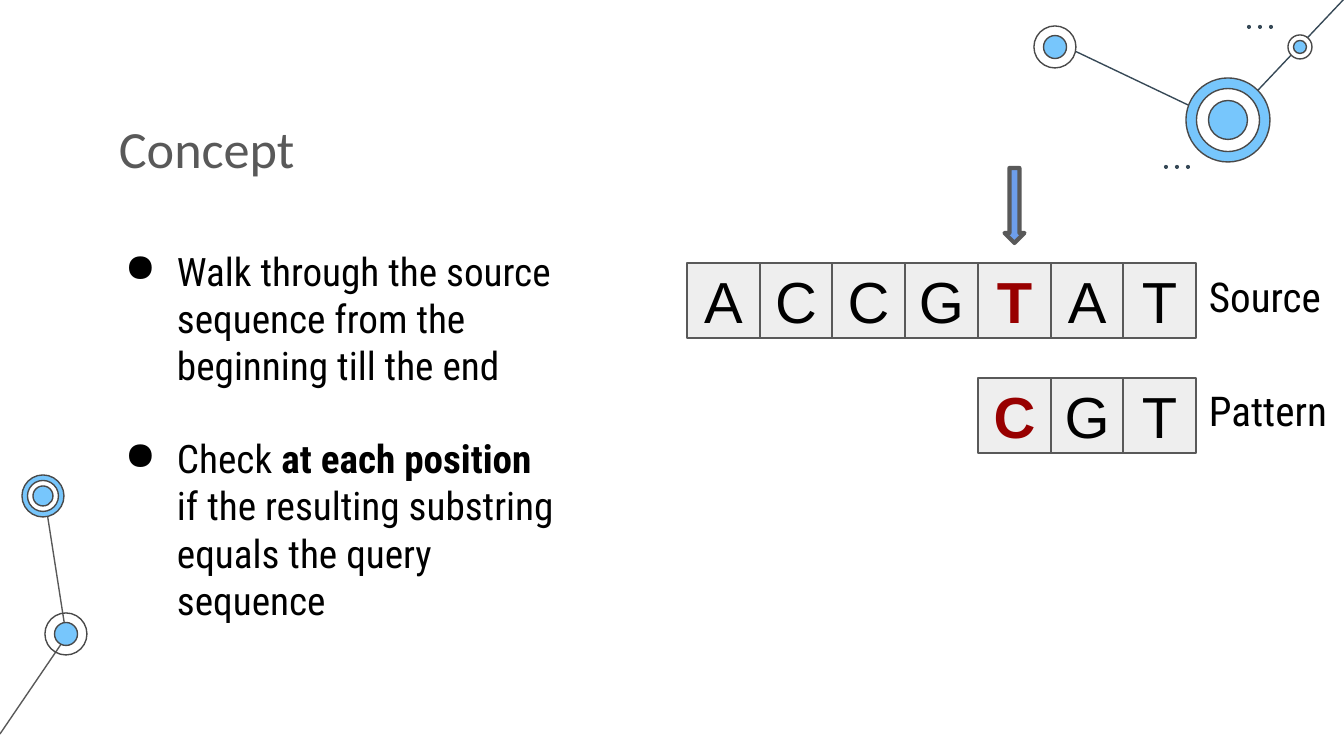
from dataclasses import dataclass

from lxml import etree
from pptx import Presentation
from pptx.dml.color import RGBColor
from pptx.enum.shapes import MSO_CONNECTOR, MSO_SHAPE
from pptx.enum.text import MSO_ANCHOR, PP_ALIGN
from pptx.oxml.ns import qn
from pptx.util import Pt

LINE = MSO_CONNECTOR.STRAIGHT
OVAL, RECT, ARROW = MSO_SHAPE.OVAL, MSO_SHAPE.RECTANGLE, MSO_SHAPE.DOWN_ARROW
TOP, MIDDLE = MSO_ANCHOR.TOP, MSO_ANCHOR.MIDDLE
LEFT, CENTER = PP_ALIGN.LEFT, PP_ALIGN.CENTER


@dataclass(frozen=True)
class Theme:
    ink: str = "000000"
    grey: str = "595959"
    ring: str = "494949"
    slate: str = "374957"
    sky: str = "77C6FC"
    white: str = "FFFFFF"
    cell: str = "EEEEEE"
    arrow: str = "6D9EEB"
    mark: str = "980000"
    title_font: str = "Calibri"
    body_font: str = "Roboto Condensed"
    cell_font: str = "Arial"
    title_size: float = 28
    body_size: float = 21
    label_size: float = 22
    cell_size: float = 31
    thin: float = 0.75
    thick: float = 2.25


T = Theme()

TITLE = "Concept"
BULLETS = [
    [("Walk through the source sequence from the beginning till the end", False)],
    [
        ("Check ", False),
        ("at each position", True),
        (" if the resulting substring equals the query sequence", False),
    ],
]
SEQUENCES = [
    {"label": "Source", "letters": "ACCGTAT", "top": 263, "label_width": 140},
    {"label": "Pattern", "letters": "CGT", "top": 378, "label_width": 187},
]
COMPARED = 4
LINKS = [
    ((66, 634), (44, 493), T.grey),
    ((0, 734), (66, 637), T.grey),
    ((1228, 124), (1058, 43), T.slate),
    ((1344, -1), (1228, 122), T.slate),
]
NODES = [
    ((66, 634), [(42, None), (23, T.sky)]),
    ((43, 496), [(42, T.sky), (31, T.white), (20, T.sky)]),
    ((1228, 120), [(84, T.sky), (63, T.white), (39, T.sky)]),
    ((1055, 47), [(42, T.white), (23, T.sky)]),
    ((1300, 47), [(24, T.white), (13, T.sky)]),
]
DOT_ROWS = [(1247, 25), (1164, 165)]
DOT, DOT_STEP = 4, 11

SCALE = 914400 / 134.4
SLIDE = (1344, 756)
PAD = 13
GRID_LEFT, GRID_RIGHT, COLUMNS, CELL_HEIGHT = 687, 1196, 7, 75


def px(n):
    return round(n * SCALE)


def rgb(value):
    return RGBColor.from_string(value)


def add_shape(s, kind, x, y, w, h, fill=None, line=None, width=T.thin):
    sp = s.shapes.add_shape(kind, px(x), px(y), px(w), px(h))
    sp.shadow.inherit = False
    if fill:
        sp.fill.solid()
        sp.fill.fore_color.rgb = rgb(fill)
    else:
        sp.fill.background()
    if line:
        sp.line.color.rgb = rgb(line)
        sp.line.width = Pt(width)
    else:
        sp.line.fill.background()
    return sp


def add_link(s, start, end, color):
    cn = s.shapes.add_connector(LINE, *map(px, start + end))
    cn.line.color.rgb = rgb(color)
    cn.line.width = Pt(T.thin)
    etree.SubElement(cn._element.spPr, qn("a:effectLst"))


def write(sp, paragraphs, font, size, color=T.ink, align=LEFT, anchor=TOP, gap=0):
    tf = sp.text_frame
    tf.word_wrap = True
    tf.vertical_anchor = anchor
    tf.margin_left = tf.margin_right = tf.margin_top = tf.margin_bottom = px(PAD)
    for i, runs in enumerate(paragraphs):
        p = tf.add_paragraph() if i else tf.paragraphs[0]
        p.alignment = align
        if i:
            p.space_before = Pt(gap)
        for text, bold in runs:
            r = p.add_run()
            r.text = text
            r.font.name = font
            r.font.size = Pt(size)
            r.font.bold = bold
            r.font.color.rgb = rgb(color)
    return tf


def add_text(s, x, y, w, h, paragraphs, **style):
    return write(s.shapes.add_textbox(px(x), px(y), px(w), px(h)), paragraphs, **style)


def add_bullet(p):
    pPr = p._p.get_or_add_pPr()
    pPr.set("marL", str(px(67)))
    pPr.set("indent", str(px(-52)))
    color = etree.SubElement(pPr, qn("a:buClr"))
    etree.SubElement(color, qn("a:srgbClr"), val=T.ink)
    etree.SubElement(pPr, qn("a:buChar"), char="●")


def column_x(column):
    return GRID_LEFT + round(column * (GRID_RIGHT - GRID_LEFT) / COLUMNS)


def add_sequence(s, label, letters, top, label_width):
    first = COLUMNS - len(letters)
    for column, letter in enumerate(letters, first):
        x = column_x(column)
        hit = column == COMPARED
        cell = add_shape(s, RECT, x, top, column_x(column + 1) - x, CELL_HEIGHT,
                         T.cell, T.grey)
        write(cell, [[(letter, hit)]], font=T.cell_font, size=T.cell_size,
              color=T.mark if hit else T.ink, align=CENTER, anchor=MIDDLE)
    add_text(s, GRID_RIGHT, top - 5, label_width, 85, [[(label, False)]],
             font=T.body_font, size=T.label_size)


def main():
    prs = Presentation()
    prs.slide_width, prs.slide_height = map(px, SLIDE)
    s = prs.slides.add_slide(prs.slide_layouts[6])

    for link in LINKS:
        add_link(s, *link)
    for (cx, cy), rings in NODES:
        for d, fill in rings:
            add_shape(s, OVAL, cx - d / 2, cy - d / 2, d, d, fill, T.ring)
    for x, y in DOT_ROWS:
        for i in range(3):
            add_shape(s, OVAL, x + i * DOT_STEP, y, DOT, DOT, T.slate)

    add_text(s, 106, 103, 601, 85, [[(TITLE, False)]],
             font=T.title_font, size=T.title_size, color=T.grey)
    tf = add_text(s, 97, 234, 473, 409, BULLETS,
                  font=T.body_font, size=T.body_size, gap=25)
    for p in tf.paragraphs:
        add_bullet(p)

    for sequence in SEQUENCES:
        add_sequence(s, **sequence)
    middle = (column_x(COMPARED) + column_x(COMPARED + 1)) / 2
    add_shape(s, ARROW, middle - 10, 168, 20, 75, T.arrow, T.grey, T.thick)

    prs.save("out.pptx")


if __name__ == "__main__":
    main()
